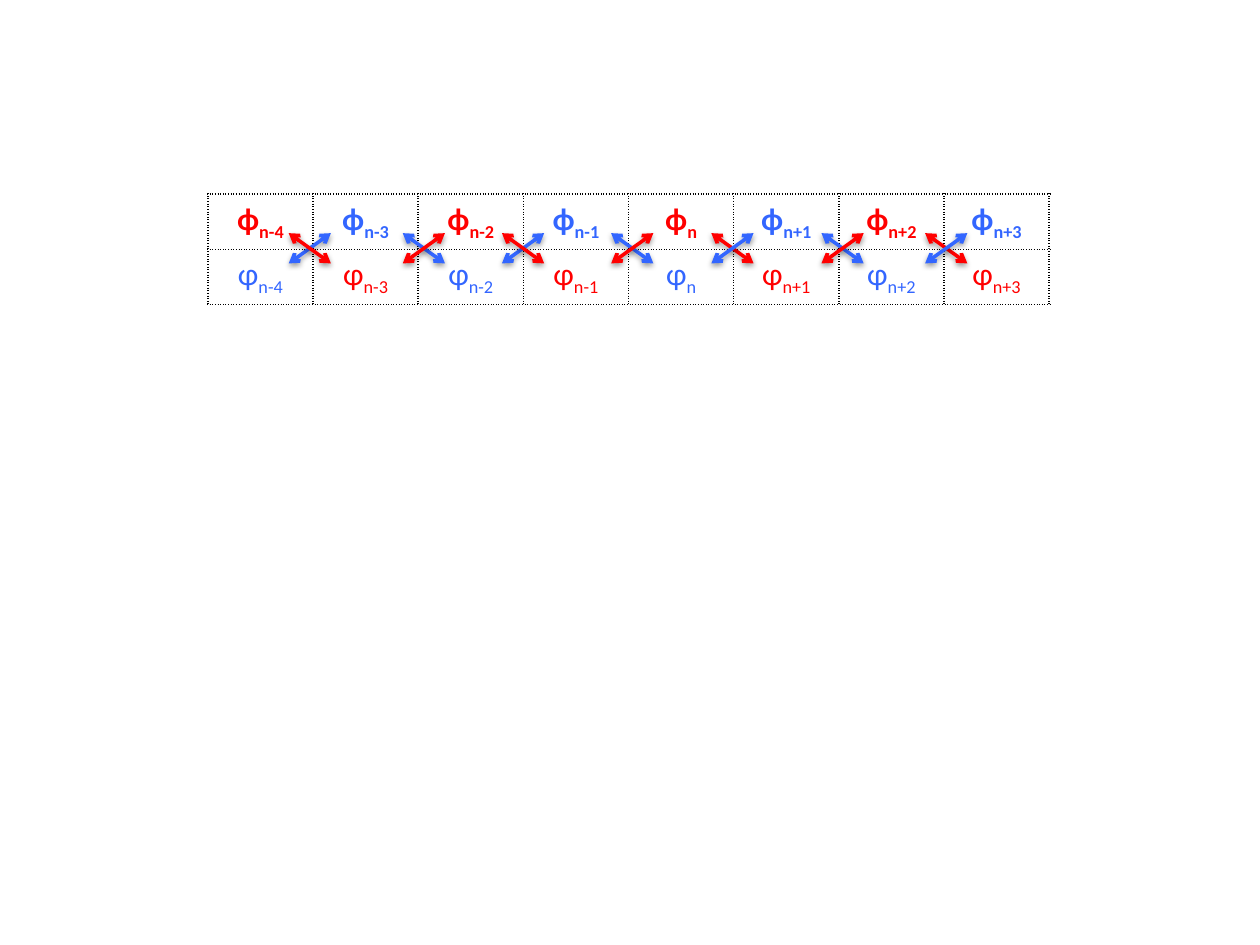
from lxml import etree
from pptx import Presentation
from pptx.dml.color import RGBColor
from pptx.enum.shapes import MSO_CONNECTOR
from pptx.enum.text import PP_ALIGN
from pptx.oxml import parse_xml
from pptx.util import Cm, Pt

COLORS = {"red": "FF0000", "blue": "3366FF", "black": "000000"}
NS = 'xmlns:a="http://schemas.openxmlformats.org/drawingml/2006/main"'
FONT = "Calibri"

INDEXES = ["n-4", "n-3", "n-2", "n-1", "n", "n+1", "n+2", "n+3"]
ROWS = [("ϕ", True, ("red", "blue")), ("φ", False, ("blue", "red"))]
CROSSINGS = [
    (5.82, "red", "blue"),
    (8.12, "blue", "red"),
    (10.12, "red", "blue"),
    (12.32, "blue", "red"),
    (14.34, "red", "red"),
    (16.56, "blue", "red"),
    (18.65, "red", "red"),
]
TABLE_LEFT, TABLE_TOP = 4.19, 3.91
COLUMN_WIDTH, ROW_HEIGHT = 2.12, 1.03
CROSS_TOP, CROSS_WIDTH, CROSS_HEIGHT = 4.7, 0.85, 0.61


def add_borders(cell):
    properties = cell._tc.get_or_add_tcPr()
    for position, side in enumerate(("lnL", "lnR", "lnT", "lnB")):
        properties.insert(position, parse_xml(
            f'<a:{side} {NS} w="12700"><a:solidFill><a:srgbClr val="{COLORS["black"]}"/>'
            f'</a:solidFill><a:prstDash val="sysDot"/></a:{side}>'))


def add_symbol(cell, symbol, index, bold, color):
    paragraph = cell.text_frame.paragraphs[0]
    paragraph.alignment = PP_ALIGN.CENTER
    for text, baseline in ((symbol, 0), (index, -25000)):
        run = paragraph.add_run()
        run.text = text
        run.font.name = FONT
        run.font.size = Pt(18)
        run.font.bold = bold
        run.font.color.rgb = RGBColor.from_string(COLORS[color])
        run.font._element.set("baseline", str(baseline))


def add_arrow(slide, x1, x2, color):
    arrow = slide.shapes.add_connector(
        MSO_CONNECTOR.STRAIGHT, Cm(x1), Cm(CROSS_TOP), Cm(x2), Cm(CROSS_TOP + CROSS_HEIGHT))
    arrow.line.width = Pt(2)
    arrow.line.color.rgb = RGBColor.from_string(COLORS[color])
    line = arrow.line._get_or_add_ln()
    for end in ("headEnd", "tailEnd"):
        line.append(parse_xml(f'<a:{end} {NS} type="arrow"/>'))
    arrow._element.spPr.append(parse_xml(
        f'<a:effectLst {NS}><a:outerShdw blurRad="40000" dist="20000" dir="5400000" '
        f'rotWithShape="0"><a:srgbClr val="{COLORS["black"]}"><a:alpha val="38000"/>'
        '</a:srgbClr></a:outerShdw></a:effectLst>'))


prs = Presentation()
prs.slide_width, prs.slide_height = Cm(25.4), Cm(19.05)
slide = prs.slides.add_slide(prs.slide_layouts[6])

table = slide.shapes.add_table(
    len(ROWS), len(INDEXES), Cm(TABLE_LEFT), Cm(TABLE_TOP),
    Cm(COLUMN_WIDTH * len(INDEXES)), Cm(ROW_HEIGHT * len(ROWS))).table
table.first_row = False
table.horz_banding = False
for column in table.columns:
    column.width = Cm(COLUMN_WIDTH)

for r, (symbol, bold, row_colors) in enumerate(ROWS):
    table.rows[r].height = Cm(ROW_HEIGHT)
    for c, index in enumerate(INDEXES):
        cell = table.cell(r, c)
        cell.fill.background()
        add_borders(cell)
        add_symbol(cell, symbol, index, bold, row_colors[c % 2])

for left, falling, first in CROSSINGS:
    right = left + CROSS_WIDTH
    rising = "blue" if falling == "red" else "red"
    arrows = {falling: (left, right), rising: (right, left)}
    second = "blue" if first == "red" else "red"
    for color in (first, second) if (left > 14 and first == falling) else ("blue", "red"):
        add_arrow(slide, *arrows[color], color)

prs.save("out.pptx")
